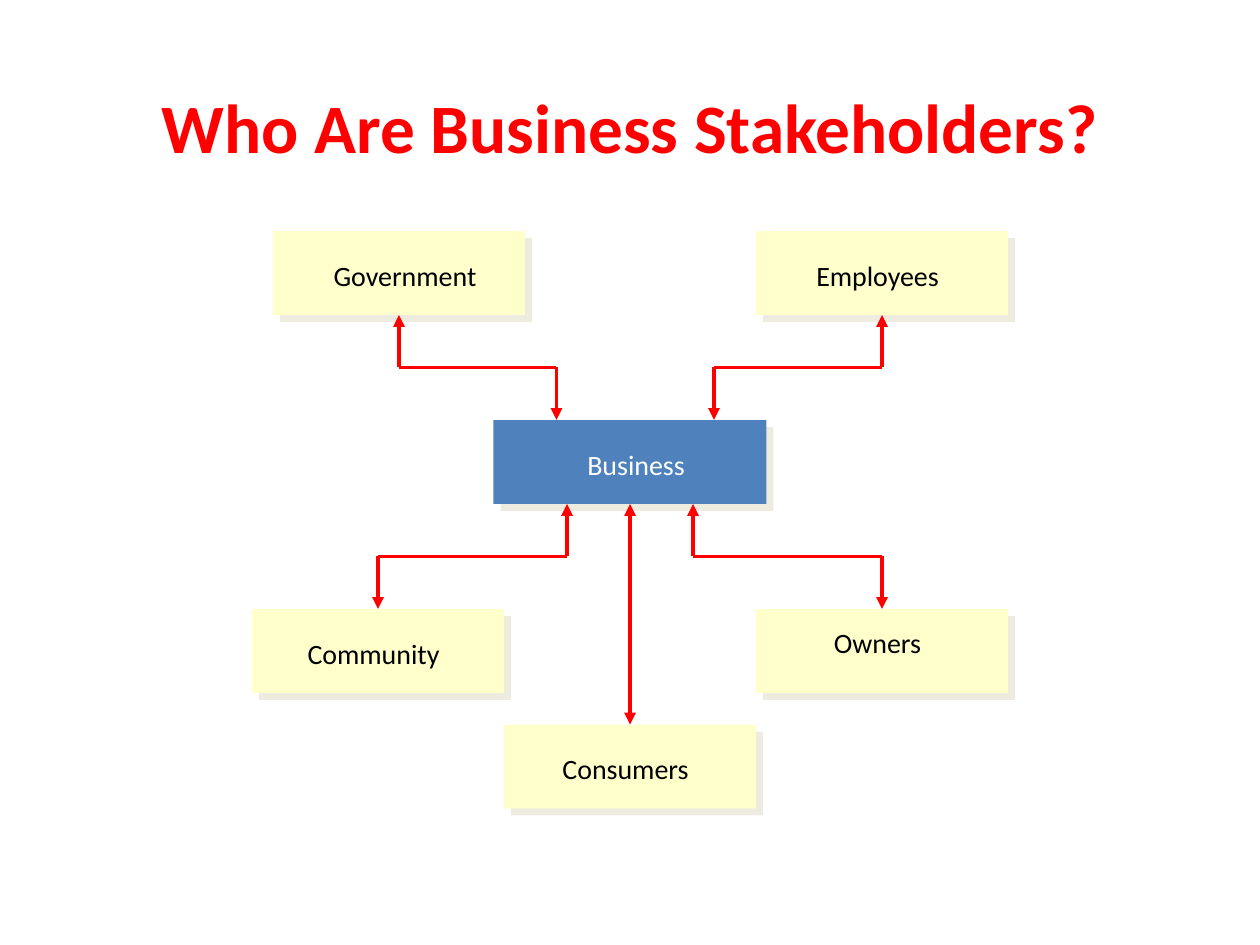
"""Build the business stakeholders diagram slide."""
from lxml import etree
from pptx import Presentation
from pptx.dml.color import RGBColor
from pptx.enum import shapes, text
from pptx.oxml import ns
from pptx.util import Pt

RED = RGBColor(0xFF, 0x00, 0x00)
BLUE = RGBColor(0x4F, 0x81, 0xBD)
CREAM = RGBColor(0xFF, 0xFF, 0xCC)
BLACK = RGBColor(0x00, 0x00, 0x00)
WHITE = RGBColor(0xFF, 0xFF, 0xFF)
SHADOW = RGBColor(0xEE, 0xEC, 0xE1)

TITLE = "Who Are Business Stakeholders?"
BUSINESS = {"name": "Business", "box": (282, 240), "label": (312, 252)}
STAKEHOLDERS = [
    {"name": "Government", "box": (156, 132), "label": (180, 144), "port": 318},
    {"name": "Consumers", "box": (288, 414), "label": (306, 426), "port": 360},
    {"name": "Owners", "box": (432, 348), "label": (450, 354), "port": 396},
    {"name": "Community", "box": (144, 348), "label": (162, 360), "port": 324},
    {"name": "Employees", "box": (432, 132), "label": (450, 144), "port": 408},
]
BUSINESS_WIDTH, BOX_WIDTH, BOX_HEIGHT = 156, 144, 48
LABEL_SIZE = (103, 26.6)
RAIL_GAP = 30
TOP, BOTTOM = 0, 2
TITLE_FORMAT = {"name": "Calibri", "size": Pt(39.6), "bold": True}
LABEL_FORMAT = {"name": "Calibri", "size": Pt(16), "bold": False}


def add_words(parts, words, place, size, font_format, color):
    caption = parts.add_textbox(*map(Pt, place + size))
    frame = caption.text_frame
    frame.word_wrap = True
    frame.vertical_anchor = text.MSO_ANCHOR.MIDDLE
    paragraph = frame.paragraphs[0]
    paragraph.alignment = text.PP_ALIGN.CENTER
    run = paragraph.add_run()
    run.text = words
    for key, value in font_format.items():
        setattr(run.font, key, value)
    run.font.color.rgb = color


def add_box(parts, place, width, fill):
    box = parts.add_shape(shapes.MSO_SHAPE.RECTANGLE, *map(Pt, place + (width, BOX_HEIGHT)))
    box.fill.solid()
    box.fill.fore_color.rgb = fill
    box.line.fill.background()
    box.shadow.inherit = False
    effects = box._element.spPr.find(ns.qn("a:effectLst"))
    shadow = etree.SubElement(effects, ns.qn("a:outerShdw"), dist=str(Pt(5.7)),
                              dir="2700000", algn="ctr", rotWithShape="0")
    etree.SubElement(shadow, ns.qn("a:srgbClr"), val=str(SHADOW))
    return box


def add_line(parts, start, end, arrow=True):
    line = parts.add_connector(shapes.MSO_CONNECTOR.STRAIGHT, *map(Pt, start + end))
    line.line.color.rgb = RED
    line.line.width = Pt(2.25)
    if arrow:
        etree.SubElement(line.line._get_or_add_ln(), ns.qn("a:tailEnd"), type="triangle")
    etree.SubElement(line._element.spPr, ns.qn("a:effectLst"))
    return line


def link(parts, business, box, stakeholder):
    left, top = stakeholder["box"]
    port, center = stakeholder["port"], left + BOX_WIDTH / 2
    business_top = BUSINESS["box"][1]
    business_bottom = business_top + BOX_HEIGHT
    if top < business_top:
        rail, dock, edge, site = business_top - RAIL_GAP, business_top, top + BOX_HEIGHT, BOTTOM
    else:
        rail, dock, edge, site = business_bottom + RAIL_GAP, business_bottom, top, TOP
    add_line(parts, (center, rail), (center, edge)).end_connect(box, site)
    inner = add_line(parts, (port, rail), (port, dock))
    if port == center:
        inner.end_connect(business, BOTTOM)
    else:
        add_line(parts, (port, rail), (center, rail), arrow=False)


def main():
    deck = Presentation()
    deck.slide_width, deck.slide_height = Pt(720), Pt(540)
    slide = deck.slides.add_slide(deck.slide_layouts[6])
    add_words(slide.shapes, TITLE, (54, 54), (612, 36), TITLE_FORMAT, RED)
    parts = slide.shapes.add_group_shape().shapes
    business = add_box(parts, BUSINESS["box"], BUSINESS_WIDTH, BLUE)
    boxes = [add_box(parts, each["box"], BOX_WIDTH, CREAM) for each in STAKEHOLDERS]
    for each in [BUSINESS] + STAKEHOLDERS:
        color = WHITE if each is BUSINESS else BLACK
        add_words(parts, each["name"], each["label"], LABEL_SIZE, LABEL_FORMAT, color)
    for box, stakeholder in zip(boxes, STAKEHOLDERS):
        link(parts, business, box, stakeholder)
    deck.save("out.pptx")


if __name__ == "__main__":
    main()
